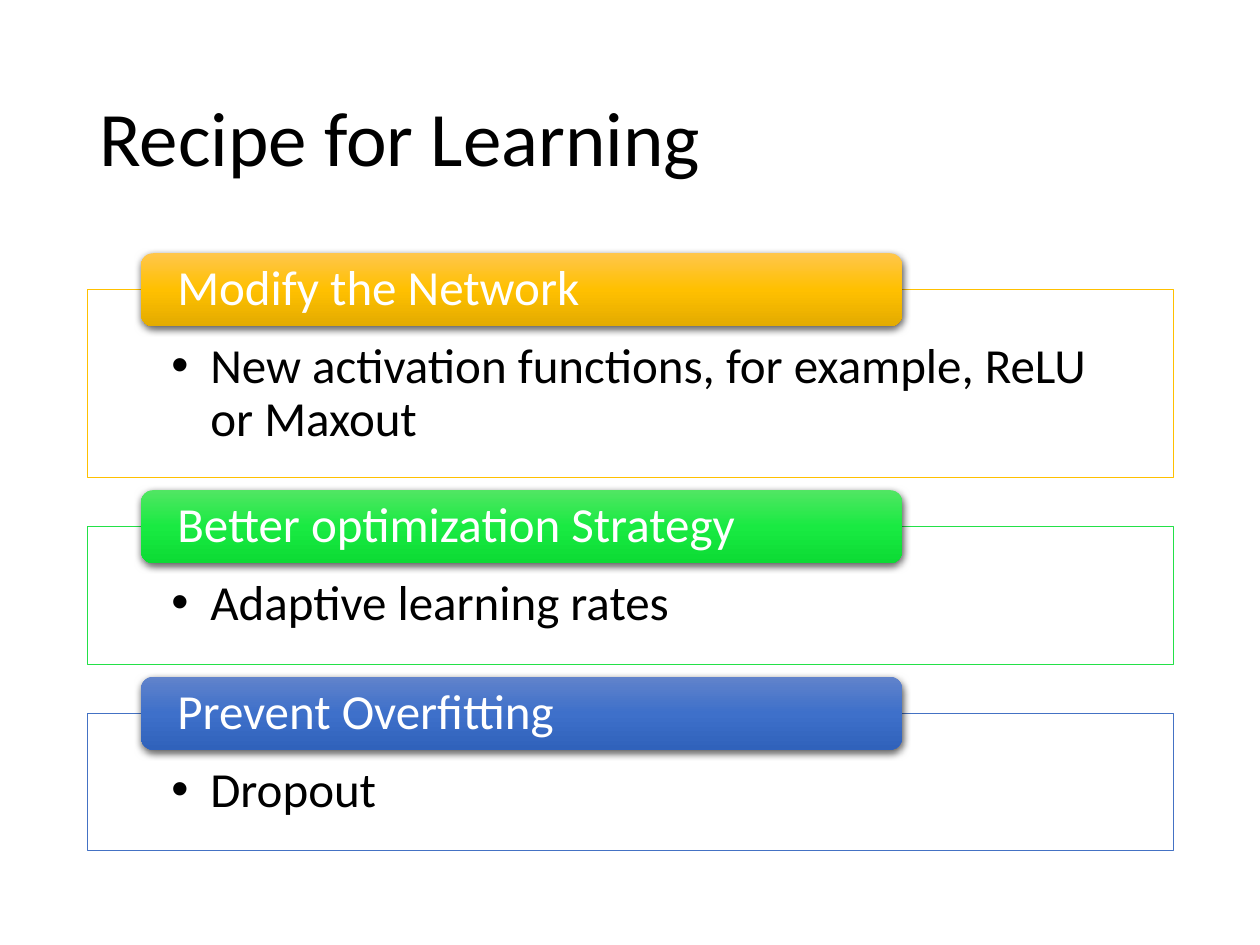
from copy import deepcopy

from lxml.etree import SubElement
from pptx import Presentation
from pptx.dml.color import RGBColor
from pptx.enum.shapes import MSO_SHAPE
from pptx.enum.text import MSO_ANCHOR, PP_ALIGN
from pptx.oxml.ns import qn
from pptx.util import Inches, Pt


def color(hex_text):
    return RGBColor.from_string(hex_text)


class RecipeSlide:
    font = "Calibri"
    left = 0.69
    width = 8.62
    header_height = 0.58

    def __init__(self, slide):
        self.slide = slide

    def set_text(self, shape, text, size, hex_text, insets, anchor):
        text_frame = shape.text_frame
        text_frame.text = text
        text_frame.word_wrap = True
        text_frame.vertical_anchor = anchor
        margins = [Inches(inset) for inset in insets]
        text_frame.margin_left, text_frame.margin_top = margins[:2]
        text_frame.margin_right, text_frame.margin_bottom = margins[2:]
        paragraph = text_frame.paragraphs[0]
        paragraph.alignment = PP_ALIGN.LEFT
        paragraph.line_spacing = 0.9
        font = paragraph.runs[0].font
        font.name = self.font
        font.size = Pt(size)
        font.color.rgb = color(hex_text)
        return paragraph

    def box(self, kind, left, top, width, height):
        shape = self.slide.shapes.add_shape(
            kind, Inches(left), Inches(top), Inches(width), Inches(height)
        )
        shape.shadow.inherit = False
        return shape

    def title(self, text):
        shape = self.slide.shapes.add_textbox(
            Inches(self.left), Inches(0.4), Inches(self.width), Inches(1.45)
        )
        self.set_text(
            shape, text, 44, "000000", (0.1, 0.05, 0.1, 0.05), MSO_ANCHOR.MIDDLE
        )

    def panel(self, text, top, height, line_color):
        shape = self.box(MSO_SHAPE.RECTANGLE, self.left, top, self.width, height)
        shape.fill.solid()
        shape.fill.fore_color.rgb = color("FFFFFF")
        fill_color = shape._element.spPr.find(qn("a:solidFill"))[0]
        SubElement(fill_color, qn("a:alpha"), val="90000")
        shape.line.color.rgb = color(line_color)
        shape.line.width = Pt(0.5)
        paragraph = self.set_text(
            shape, text, 28, "000000", (0.67, 0.41, 0.67, 0.22), MSO_ANCHOR.TOP
        )
        paragraph.level = 1
        properties = paragraph._p.get_or_add_pPr()
        properties.set("marL", str(Inches(0.31)))
        properties.set("indent", str(-Inches(0.31)))
        SubElement(properties, qn("a:buFont"), typeface="Arial")
        SubElement(properties, qn("a:buChar"), char="•")

    def header(self, text, top, gradient):
        shape = self.box(
            MSO_SHAPE.ROUNDED_RECTANGLE, 1.12, top, 6.04, self.header_height
        )
        shape.line.fill.background()
        shape.fill.gradient()
        shape.fill.gradient_angle = 270
        properties = shape._element.spPr
        stop_list = properties.find(qn("a:gradFill")).find(qn("a:gsLst"))
        stop_list.append(deepcopy(stop_list[0]))
        for stop, position, hex_text in zip(
            shape.fill.gradient_stops, (0, 0.5, 1), gradient
        ):
            stop.position = position
            stop.color.rgb = color(hex_text)
        shadow = SubElement(
            properties.find(qn("a:effectLst")),
            qn("a:outerShdw"),
            blurRad=str(Pt(4.5)),
            dist=str(Pt(1.5)),
            dir="5400000",
            algn="ctr",
            rotWithShape="0",
        )
        shadow_color = SubElement(shadow, qn("a:srgbClr"), val="000000")
        SubElement(shadow_color, qn("a:alpha"), val="63000")
        self.set_text(shape, text, 28, "FFFFFF", (0.26, 0, 0.26, 0), MSO_ANCHOR.MIDDLE)


def main():
    presentation = Presentation()
    presentation.slide_width = Inches(10)
    presentation.slide_height = Inches(7.5)
    recipe = RecipeSlide(
        presentation.slides.add_slide(presentation.slide_layouts[6])
    )
    recipe.title("Recipe for Learning")

    steps = [
        (
            "Modify the Network",
            "New activation functions, for example, ReLU or Maxout",
            1.49,
            "FFC000",
            ("FFC64B", "FFC000", "E3AB00"),
        ),
        (
            "Better optimization Strategy",
            "Adaptive learning rates",
            1.09,
            "23E148",
            ("51E663", "19EA42", "0CDB34"),
        ),
        (
            "Prevent Overfitting",
            "Dropout",
            1.09,
            "4472C4",
            ("6183CB", "3E70CA", "3062BB"),
        ),
    ]
    top = 2.3
    gap = 0.39
    for heading, detail, height, line_color, gradient in steps:
        recipe.panel(detail, top, height, line_color)
        recipe.header(heading, top - recipe.header_height / 2, gradient)
        top += height + gap

    presentation.save("out.pptx")


if __name__ == "__main__":
    main()
